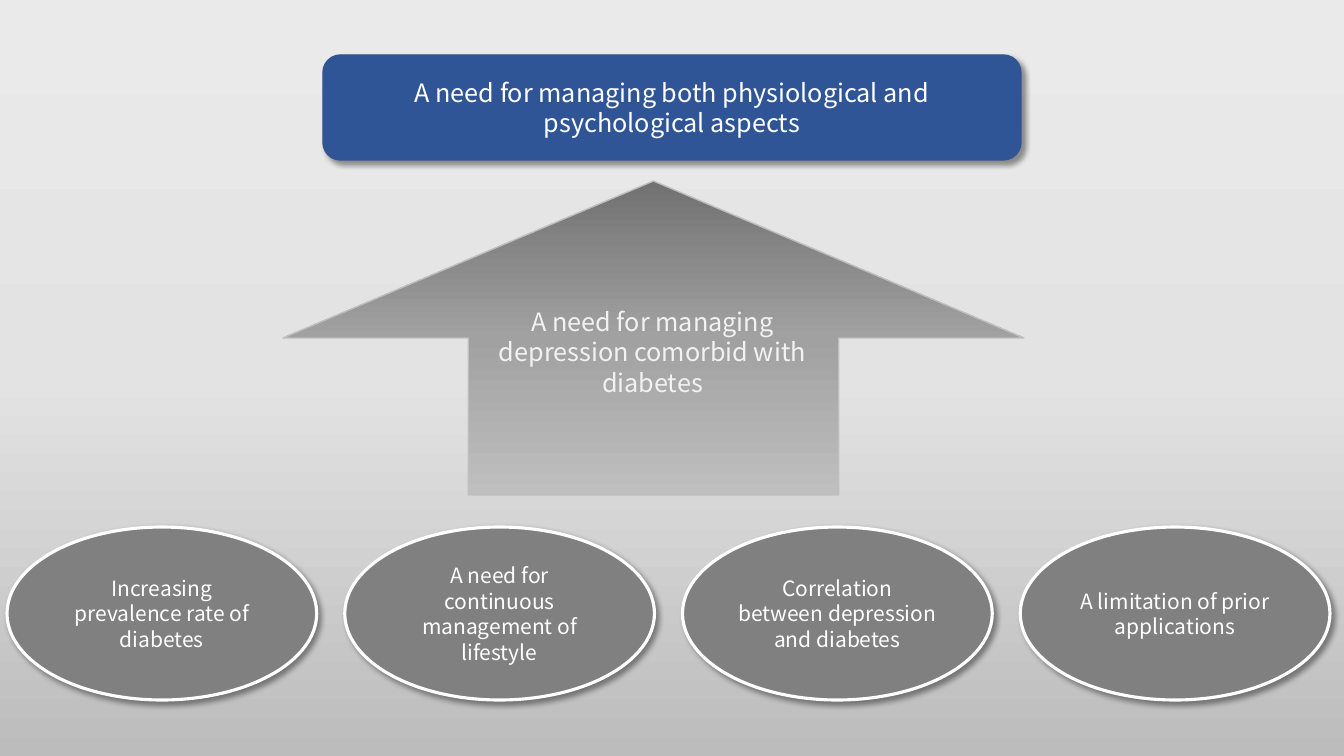
from lxml.etree import SubElement
from pptx import Presentation
from pptx.dml.color import RGBColor
from pptx.enum.shapes import MSO_SHAPE as Preset
from pptx.enum.text import MSO_ANCHOR as Anchor, PP_ALIGN as Align
from pptx.oxml.ns import qn
from pptx.util import Pt

PX = 914400 / 100.8
FONT = "Noto Sans CJK KR"
CAUSES = [
    "Increasing prevalence rate of diabetes",
    "A need for continuous management of lifestyle",
    "Correlation between depression and diabetes",
    "A limitation of prior applications",
]


def px(*lengths):
    """Turn pixel lengths into EMU."""
    return [round(length * PX) for length in lengths]


def colour(value):
    """Turn a hex string into a colour."""
    return RGBColor.from_string(value)


def fill_gradient(fill, element, colours):
    """Fill downwards with evenly spaced colour stops."""
    fill.gradient()
    fill.gradient_angle = 270
    stops = next(element.iter(qn("a:gsLst")))
    for stop in list(stops):
        stops.remove(stop)
    for index, value in enumerate(colours):
        position = 100000 * index // (len(colours) - 1)
        stop = SubElement(stops, qn("a:gs"), pos=str(position))
        SubElement(stop, qn("a:srgbClr"), val=value)


def add_shadow(shape):
    """Give the shape a soft shadow to the lower right."""
    effects = shape._element.spPr.find(qn("a:effectLst"))
    shadow = SubElement(effects, qn("a:outerShdw"), blurRad=str(Pt(4)),
                        dist=str(Pt(3)), dir="2700000", algn="tl", rotWithShape="0")
    black = SubElement(shadow, qn("a:srgbClr"), val="000000")
    SubElement(black, qn("a:alpha"), val="40000")


def write(shape, text, size, ink="FFFFFF", anchor=Anchor.MIDDLE):
    """Write one centred, wrapped paragraph in the shape."""
    frame = shape.text_frame
    frame.word_wrap = True
    frame.vertical_anchor = anchor
    para = frame.paragraphs[0]
    para.text = text
    para.alignment = Align.CENTER
    para.line_spacing = Pt(size * 1.21)
    para.font.name = FONT
    para.font.size = Pt(size)
    para.font.color.rgb = colour(ink)


def add_outlined(page, preset, box, line, width):
    """Add a preset shape with an outline and no inherited shadow."""
    shape = page.shapes.add_shape(preset, *px(*box))
    shape.shadow.inherit = False
    shape.line.color.rgb = colour(line)
    shape.line.width = Pt(width)
    return shape


def add_goal(page, box):
    """Draw the blue goal banner."""
    banner = add_outlined(page, Preset.ROUNDED_RECTANGLE, box, "325491", 1)
    banner.fill.solid()
    banner.fill.fore_color.rgb = colour("2F5597")
    add_shadow(banner)
    write(banner, "A need for managing both physiological and psychological aspects", 18)


def add_causes(page, box, gap):
    """Spread the causes as equal ellipses across the box."""
    left, top, width, height = box
    each = (width - gap * (len(CAUSES) - 1)) / len(CAUSES)
    for index, cause in enumerate(CAUSES):
        place = (left + index * (each + gap), top, each, height)
        ellipse = add_outlined(page, Preset.OVAL, place, "FFFFFF", 2.25)
        ellipse.fill.solid()
        ellipse.fill.fore_color.rgb = colour("808080")
        add_shadow(ellipse)
        write(ellipse, cause, 15)


def add_need(page, box):
    """Draw the up arrow with its caption over the shaft."""
    left, top, width, height = box
    arrow = add_outlined(page, Preset.UP_ARROW, box, "BFBFBF", 1)
    fill_gradient(arrow.fill, arrow._element, ["717171", "A1A1A1", "BFBFBF"])
    caption = page.shapes.add_textbox(*px(left + 196, top + 120, 347, 102))
    write(caption, "A need for managing depression comorbid with diabetes",
          18, "F2F2F2", Anchor.TOP)


def main():
    """Build and save the slide."""
    deck = Presentation()
    deck.slide_width, deck.slide_height = px(1344, 756)
    page = deck.slides.add_slide(deck.slide_layouts[6])
    fill_gradient(page.background.fill, page._element, ["EBEAEA", "E4E3E3", "BDBCBC"])
    add_goal(page, (323, 55, 698, 105))
    add_causes(page, (7, 527, 1323, 173), 28)
    add_need(page, (283, 181, 741, 314))
    deck.save("out.pptx")


if __name__ == "__main__":
    main()
